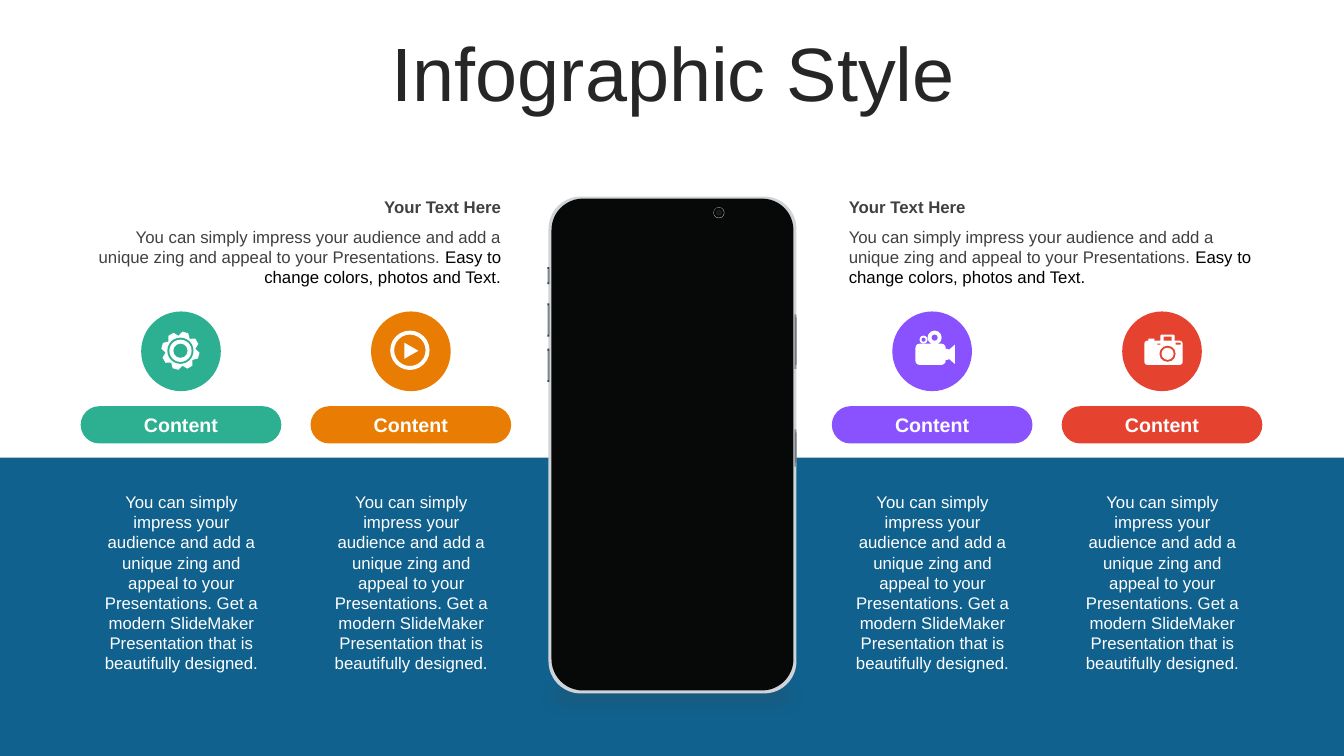
from math import cos, radians, sin

from lxml import etree
from pptx import Presentation
from pptx.dml.color import RGBColor
from pptx.enum.shapes import MSO_SHAPE
from pptx.enum.text import MSO_ANCHOR, PP_ALIGN
from pptx.oxml.ns import qn
from pptx.util import Inches, Pt

RECT, ROUND, OVAL = MSO_SHAPE.RECTANGLE, MSO_SHAPE.ROUNDED_RECTANGLE, MSO_SHAPE.OVAL
DONUT, TRAPEZOID = MSO_SHAPE.DONUT, MSO_SHAPE.TRAPEZOID
LEFT, CENTER, RIGHT = PP_ALIGN.LEFT, PP_ALIGN.CENTER, PP_ALIGN.RIGHT
TOP, MIDDLE = MSO_ANCHOR.TOP, MSO_ANCHOR.MIDDLE

COLORS = {
    "white": "FFFFFF", "black": "000000", "title": "262626", "text": "404040",
    "band": "10618E", "green": "2CB091", "orange": "E97D03", "purple": "8A52FF",
    "red": "E64230", "frame": "D0D4D8", "screen": "070808", "key": "364551",
    "key_face": "FAFDFF", "side": "8A9096", "side_face": "4A4C4D",
    "lens_rim": "A6A6A6", "lens": "262626", "lens_core": "081422",
}
INTRO = ("You can simply impress your audience and add a unique zing "
         "and appeal to your Presentations. ")
DETAIL = INTRO + "Get a modern SlideMaker Presentation that is beautifully designed."


def rgb(name):
    """Return the named colour."""
    return RGBColor.from_string(COLORS[name])


def paint(sp, color):
    """Give a shape a flat fill without line or shadow."""
    sp.shadow.inherit = False
    sp.fill.solid()
    sp.fill.fore_color.rgb = rgb(color)
    sp.line.fill.background()
    return sp


def add_block(slide, kind, box, color, adj=None):
    """Add a preset shape in a box given in inches."""
    sp = paint(slide.shapes.add_shape(kind, *map(Inches, box)), color)
    if adj is not None:
        sp.adjustments[0] = adj
    return sp


def add_disc(slide, x, y, radius, color):
    """Add a circle around a centre."""
    add_block(slide, OVAL, (x - radius, y - radius, 2 * radius, 2 * radius), color)


def add_polygon(slide, x, y, points, color):
    """Add a closed outline with points relative to x, y."""
    pts = [(Inches(x + px), Inches(y + py)) for px, py in points]
    fb = slide.shapes.build_freeform(*pts[0])
    fb.add_line_segments(pts[1:])
    paint(fb.convert_to_shape(), color)


def write(sp, runs, size, align, bold=False, anchor=TOP):
    """Write one paragraph of (text, colour) runs."""
    tf = sp.text_frame
    tf.word_wrap = True
    tf.vertical_anchor = anchor
    p = tf.paragraphs[0]
    p.alignment = align
    p.font.name, p.font.size, p.font.bold = "Arial", Pt(size), bold
    for text, color in runs:
        r = p.add_run()
        r.text = text
        r.font.color.rgb = rgb(color)
    return p


def add_text(slide, box, runs, align, bold=False):
    """Add a 12 point text box."""
    write(slide.shapes.add_textbox(*map(Inches, box)), runs, 12, align, bold)


def draw_gear(slide, x, y, color):
    """Draw a gear with eight teeth."""
    cx, cy = x + 0.39, y + 0.39
    corners = ((-22, 0.15), (-9, 0.19), (9, 0.19), (22, 0.15))
    points = [(r * sin(radians(a + 15 + 45 * i)), -r * cos(radians(a + 15 + 45 * i)))
              for i in range(8) for a, r in corners]
    add_polygon(slide, cx, cy, points, "white")
    for radius, fill in ((0.13, color), (0.11, "white"), (0.07, color)):
        add_disc(slide, cx, cy, radius, fill)


def draw_play(slide, x, y, color):
    """Draw a play button."""
    add_block(slide, DONUT, (x + 0.19, y + 0.19, 0.39, 0.39), "white", 0.1)
    add_polygon(slide, x, y, [(0.33, 0.31), (0.47, 0.39), (0.33, 0.47)], "white")


def draw_video(slide, x, y, color):
    """Draw a film camera with two reels."""
    add_block(slide, ROUND, (x + 0.23, y + 0.32, 0.3, 0.21), "white", 0.19)
    add_block(slide, ROUND, (x + 0.5, y + 0.37, 0.06, 0.11), "white")
    horn = [(0.62, 0.33), (0.62, 0.52), (0.55, 0.46), (0.55, 0.39)]
    add_polygon(slide, x, y, horn, "white")
    for dx, dy, outer, hole in ((0.42, 0.26, 0.07, 0.03), (0.31, 0.28, 0.04, 0.02)):
        add_disc(slide, x + dx, y + dy, outer, "white")
        add_disc(slide, x + dx, y + dy, hole, color)


def draw_camera(slide, x, y, color):
    """Draw a photo camera."""
    parts = (
        (ROUND, 0.22, 0.29, 0.38, 0.24, "white"), (RECT, 0.26, 0.27, 0.06, 0.03, "white"),
        (ROUND, 0.38, 0.23, 0.14, 0.1, "white"), (RECT, 0.41, 0.25, 0.08, 0.04, color),
        (RECT, 0.35, 0.32, 0.03, 0.01, color), (RECT, 0.53, 0.31, 0.05, 0.02, color),
    )
    for kind, dx, dy, w, h, fill in parts:
        add_block(slide, kind, (x + dx, y + dy, w, h), fill, 0.12 if kind == ROUND else None)
    for radius, fill in ((0.08, color), (0.06, "white")):
        add_disc(slide, x + 0.45, y + 0.42, radius, fill)


def add_column(slide, x, y, color, draw_icon):
    """Add an icon, its pill label and the text below."""
    add_block(slide, OVAL, (x + 0.6, y, 0.79, 0.79), color)
    draw_icon(slide, x + 0.6, y, color)
    pill = add_block(slide, ROUND, (x, y + 0.94, 1.99, 0.37), color, 0.5)
    write(pill, [("Content", "white")], 14, CENTER, True, MIDDLE)
    add_text(slide, (x + 0.07, y + 1.74, 1.86, 1.92), [(DETAIL, "white")], CENTER)


def add_caption(slide, x, y, align):
    """Add a heading with its paragraph."""
    add_text(slide, (x, y, 4.36, 0.3), [("Your Text Here", "text")], align, True)
    runs = [(INTRO, "text"), ("Easy to change colors, photos and Text.", "black")]
    add_text(slide, (x, y + 0.3, 4.36, 0.71), runs, align)


def add_shade(slide, box):
    """Add a soft, see-through shade."""
    sp = add_block(slide, TRAPEZOID, box, "text", 0.355)
    alpha = etree.SubElement(sp.fill._xPr.find(".//" + qn("a:srgbClr")), qn("a:alpha"))
    alpha.set("val", "25000")
    effects = sp._element.spPr.find(qn("a:effectLst"))
    etree.SubElement(effects, qn("a:softEdge")).set("rad", str(Inches(0.16)))


def add_phone(slide, x, y, w, h):
    """Add the phone with its keys and front lens."""
    add_shade(slide, (x - 0.22, y + h - 0.22, w + 0.43, 0.46))
    add_block(slide, ROUND, (x, y, w, h), "frame", 0.13)
    add_block(slide, ROUND, (x + 0.03, y + 0.02, w - 0.06, h - 0.05), "screen", 0.13)
    for dy, height in ((0.7, 0.17), (1.06, 0.33), (1.51, 0.33)):
        add_block(slide, RECT, (x - 0.01, y + dy, 0.02, height), "key")
        add_block(slide, RECT, (x - 0.01, y + dy + 0.02, 0.01, height - 0.04), "key_face")
    for dy, height in ((1.17, 0.54), (2.31, 0.37)):
        add_block(slide, RECT, (x + w - 0.02, y + dy, 0.02, height), "side")
        add_block(slide, RECT, (x + w - 0.01, y + dy + 0.03, 0.01, height - 0.07), "side_face")
    for size, fill in ((0.11, "lens_rim"), (0.1, "screen"), (0.05, "lens"), (0.03, "lens_core")):
        add_disc(slide, x + 1.69, y + 0.16, size / 2, fill)


def add_title(slide, box, text):
    """Place and format the title."""
    sp = slide.shapes.title
    sp.left, sp.top, sp.width, sp.height = map(Inches, box)
    p = write(sp, [(text, "title")], 54, CENTER, anchor=MIDDLE)
    p.line_spacing = 0.9


def main():
    """Build and save the slide."""
    prs = Presentation()
    prs.slide_width, prs.slide_height = Inches(13.33), Inches(7.5)
    slide = prs.slides.add_slide(prs.slide_layouts[5])
    add_title(slide, (0.35, 0.37, 12.66, 0.79), "Infographic Style")
    add_block(slide, RECT, (0, 4.54, 13.33, 2.96), "band")
    add_phone(slide, 5.44, 1.95, 2.46, 4.93)
    add_caption(slide, 0.71, 1.9, RIGHT)
    add_caption(slide, 8.32, 1.9, LEFT)
    columns = ((0.8, "green", draw_gear), (3.08, "orange", draw_play),
               (8.25, "purple", draw_video), (10.53, "red", draw_camera))
    for x, color, draw_icon in columns:
        add_column(slide, x, 3.09, color, draw_icon)
    prs.save("out.pptx")


if __name__ == "__main__":
    main()
